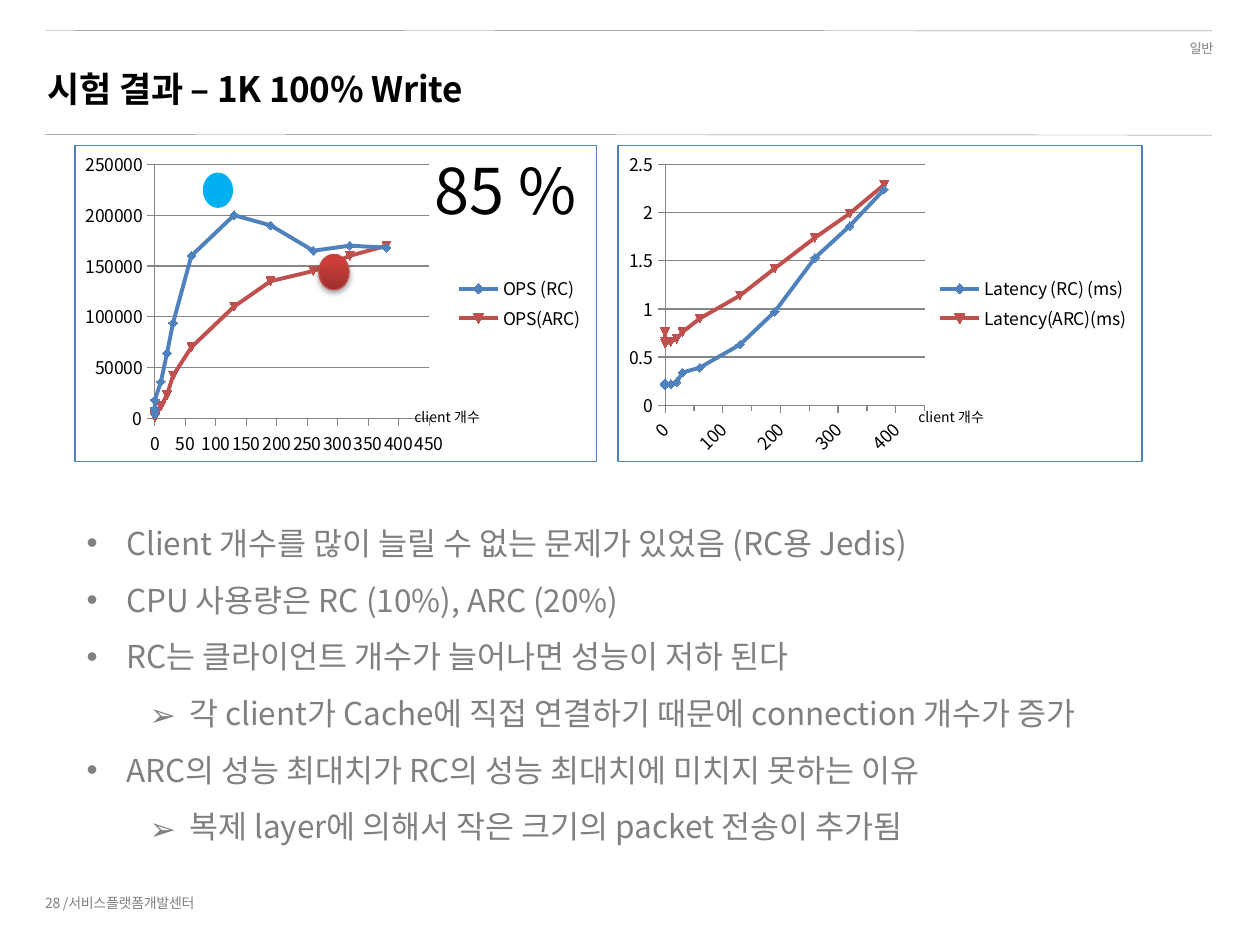
"""Builds the test result slide with two scatter charts and findings."""
from lxml import etree
from pptx import Presentation, oxml
from pptx.chart import data
from pptx.dml.color import RGBColor
from pptx.enum import chart as ch, shapes, text
from pptx.oxml.ns import nsdecls, qn
from pptx.util import Pt

HUES = {"gray": "808080", "black": "000000", "blue": "4F81BD", "red": "C0504D",
        "sky": "00B0F0", "edge": "BF4C48", "grid": "868686"}
FACE = "Noto Sans CJK KR"


def hue(name):
    return RGBColor.from_string(HUES[name])


def write(frame, lines, size, color, bold=False, space=None):
    for i, line in enumerate(lines):
        para = frame.paragraphs[0] if i == 0 else frame.add_paragraph()
        para.text = line
        for run in para.runs:
            font = run.font
            font.size, font.name, font.bold = Pt(size), FACE, bold
            font.color.rgb = hue(color)
            props = run._r.get_or_add_rPr()
            etree.SubElement(props, qn("a:ea")).set("typeface", FACE)
            if space:
                props.set("spc", str(space))


prs = Presentation()
prs.slide_width, prs.slide_height = Pt(720), Pt(540)
slide = prs.slides.add_slide(prs.slide_layouts[5])
items = slide.shapes

for top in (17.3, 76.8):
    rule = items.add_connector(shapes.MSO_CONNECTOR.STRAIGHT,
                               Pt(26), Pt(top), Pt(692.6), Pt(top + 0.4))
    rule.line.color.rgb = hue("gray")
    rule.line.width = Pt(0.25)
    etree.SubElement(rule._element.spPr, qn("a:effectLst"))

title = items.title
title.left, title.top, title.width, title.height = Pt(20.2), Pt(34.6), Pt(680.4), Pt(31.7)
write(title.text_frame, ["시험 결과 – 1K 100% Write"], 20, "black", True, -20)
title.text_frame.vertical_anchor = text.MSO_ANCHOR.MIDDLE
title.text_frame.paragraphs[0].alignment = text.PP_ALIGN.LEFT

clients = [0, 0, 0, 10, 20, 30, 60, 130, 190, 260, 320, 380]
charts = [
    (42.5, 298.8, 250000, 50000, 50, 0, (0.153, 0.06, 0.526, 0.803), {
        "OPS (RC)": [4000, 9000, 18000, 36000, 64000, 94000, 160000, 200000,
                     190000, 165000, 170000, 168000],
        "OPS(ARC)": [1000, 3000, 6000, 12000, 23000, 42000, 70000, 110000,
                     135000, 145000, 160000, 170000]}),
    (352.8, 300.2, 2.5, 0.5, 100, -45, (0.09, 0.06, 0.495, 0.762), {
        "Latency (RC) (ms)": [0.23, 0.22, 0.21, 0.22, 0.24, 0.34, 0.39, 0.63,
                              0.97, 1.53, 1.86, 2.24],
        "Latency(ARC)(ms)": [0.76, 0.66, 0.64, 0.66, 0.69, 0.76, 0.9, 1.14,
                             1.42, 1.74, 1.99, 2.29]}),
]
for left, width, peak, step, gap, turn, area, rows in charts:
    table = data.XyChartData()
    for name, vals in rows.items():
        row = table.add_series(name)
        for x, y in zip(clients, vals):
            row.add_data_point(x, y)
    chart = items.add_chart(ch.XL_CHART_TYPE.XY_SCATTER_LINES, Pt(left), Pt(82.8),
                            Pt(width), Pt(181.4), table).chart
    chart.has_title = False
    chart.font.size, chart.font.name = Pt(10), FACE
    chart.font.color.rgb = hue("black")
    chart.has_legend = True
    chart.legend.position = ch.XL_LEGEND_POSITION.RIGHT
    chart.legend.include_in_layout = False
    chart.plots[0].vary_by_categories = False
    for axis, high, unit in ((chart.category_axis, 450, gap), (chart.value_axis, peak, step)):
        axis.minimum_scale, axis.maximum_scale, axis.major_unit = 0, high, unit
        axis.major_tick_mark = ch.XL_TICK_MARK.OUTSIDE
        axis.tick_labels.number_format = "General"
        axis.tick_labels.number_format_is_linked = False
        axis.format.line.color.rgb = hue("grid")
    base = chart.category_axis
    base.has_major_gridlines = False
    if turn:
        base.minor_unit = gap / 2
        base.minor_tick_mark = ch.XL_TICK_MARK.OUTSIDE
        base.tick_labels.font.size = Pt(10)
        base.tick_labels.font.name = FACE
        base.tick_labels.font.color.rgb = hue("black")
        frame = base._element.find(qn("c:txPr")).find(qn("a:bodyPr"))
        frame.set("rot", str(turn * 60000))
        frame.set("vert", "horz")
    chart.value_axis.has_major_gridlines = True
    chart.value_axis.major_gridlines.format.line.color.rgb = hue("grid")
    for row, color in zip(chart.plots[0].series, ("blue", "red")):
        row.smooth = False
        row.format.line.width = Pt(2.25)
        row.format.line.color.rgb = hue(color)
        row.marker.size = 5
        row.marker.format.fill.solid()
        row.marker.format.fill.fore_color.rgb = hue(color)
        row.marker.format.line.color.rgb = hue(color)
    plot = chart._chartSpace.chart.plotArea
    for old in plot.findall(qn("c:layout")):
        plot.remove(old)
    spots = "".join(f'<c:{k} val="{v}"/>' for k, v in zip("xywh", area))
    plot.insert(0, oxml.parse_xml(
        f'<c:layout {nsdecls("c")}><c:manualLayout><c:layoutTarget val="inner"/>'
        f'<c:xMode val="edge"/><c:yMode val="edge"/>{spots}</c:manualLayout></c:layout>'))
    chart._chartSpace.chart.addnext(oxml.parse_xml(
        f'<c:spPr {nsdecls("c", "a")}><a:noFill/><a:ln w="9525"><a:solidFill>'
        f'<a:srgbClr val="{HUES["blue"]}"/></a:solidFill></a:ln></c:spPr>'))

points = [
    (0, "Client 개수를 많이 늘릴 수 없는 문제가 있었음 (RC용 Jedis)"),
    (0, "CPU 사용량은 RC (10%), ARC (20%)"),
    (0, "RC는 클라이언트 개수가 늘어나면 성능이 저하 된다"),
    (1, "각 client가 Cache에 직접 연결하기 때문에 connection 개수가 증가"),
    (0, "ARC의 성능 최대치가 RC의 성능 최대치에 미치지 못하는 이유"),
    (1, "복제 layer에 의해서 작은 크기의 packet 전송이 추가됨"),
]
body = items.add_textbox(Pt(42.5), Pt(285.1), Pt(623.5), Pt(203.8)).text_frame
body.word_wrap = True
write(body, [line for _, line in points], 18, "gray")
for para, (level, _) in zip(body.paragraphs, points):
    para.level = level
    para.line_spacing = Pt(32.4)
    props = para._p.get_or_add_pPr()
    props.set("marL", str(Pt(22.5 + 36 * level)))
    props.set("indent", str(Pt(-22.5)))
    etree.SubElement(props, qn("a:buFont")).set("typeface", FACE if level else "Arial")
    etree.SubElement(props, qn("a:buChar")).set("char", "➢" if level else "•")

labels = [
    ("일반", 627.1, 15.8, 73.4, 19.4, 7.5, "gray", True),
    ("28 /서비스플랫폼개발센터", 18.7, 506.2, 218.9, 19.4, 8, "gray", True),
    ("85 %", 241.2, 82.8, 97.9, 51.1, 36, "black", False),
    ("client 개수", 229.7, 229.7, 55.4, 17.3, 8, "black", False),
    ("client 개수", 517.7, 229.7, 55.4, 17.3, 8, "black", False),
]
for line, left, top, width, height, size, color, wrap in labels:
    frame = items.add_textbox(Pt(left), Pt(top), Pt(width), Pt(height)).text_frame
    frame.word_wrap = wrap
    write(frame, [line], size, color, space=-20 if wrap else None)
    if line == "일반":
        frame.paragraphs[0].alignment = text.PP_ALIGN.RIGHT
        frame.paragraphs[0].line_spacing = 1.4
    elif wrap:
        frame.vertical_anchor = text.MSO_ANCHOR.MIDDLE

for left, top in ((115.9, 98.6), (182.2, 145.4)):
    dot = items.add_shape(shapes.MSO_SHAPE.OVAL, Pt(left), Pt(top), Pt(17.3), Pt(20.2))
    dot.shadow.inherit = False
    dot.fill.solid()
    dot.fill.fore_color.rgb = hue("sky")
    dot.line.fill.background()

dot.line.color.rgb = hue("edge")
dot.line.width = Pt(0.75)
props = dot._element.spPr
stops = "".join(f'<a:gs pos="{pos}"><a:srgbClr val="{val}"/></a:gs>' for pos, val in
                ((0, "9C2F2D"), (80000, "CB3E3A"), (100000, "CE3B37")))
props.replace(props.find(qn("a:solidFill")), oxml.parse_xml(
    f'<a:gradFill {nsdecls("a")}><a:gsLst>{stops}</a:gsLst><a:lin ang="16200000"/></a:gradFill>'))
props.find(qn("a:effectLst")).append(oxml.parse_xml(
    f'<a:outerShdw {nsdecls("a")} blurRad="{Pt(3.1)}" dist="{Pt(1.8)}" dir="5400000" rotWithShape="0">'
    f'<a:srgbClr val="{HUES["black"]}"><a:alpha val="35000"/></a:srgbClr></a:outerShdw>'))

prs.save("out.pptx")
